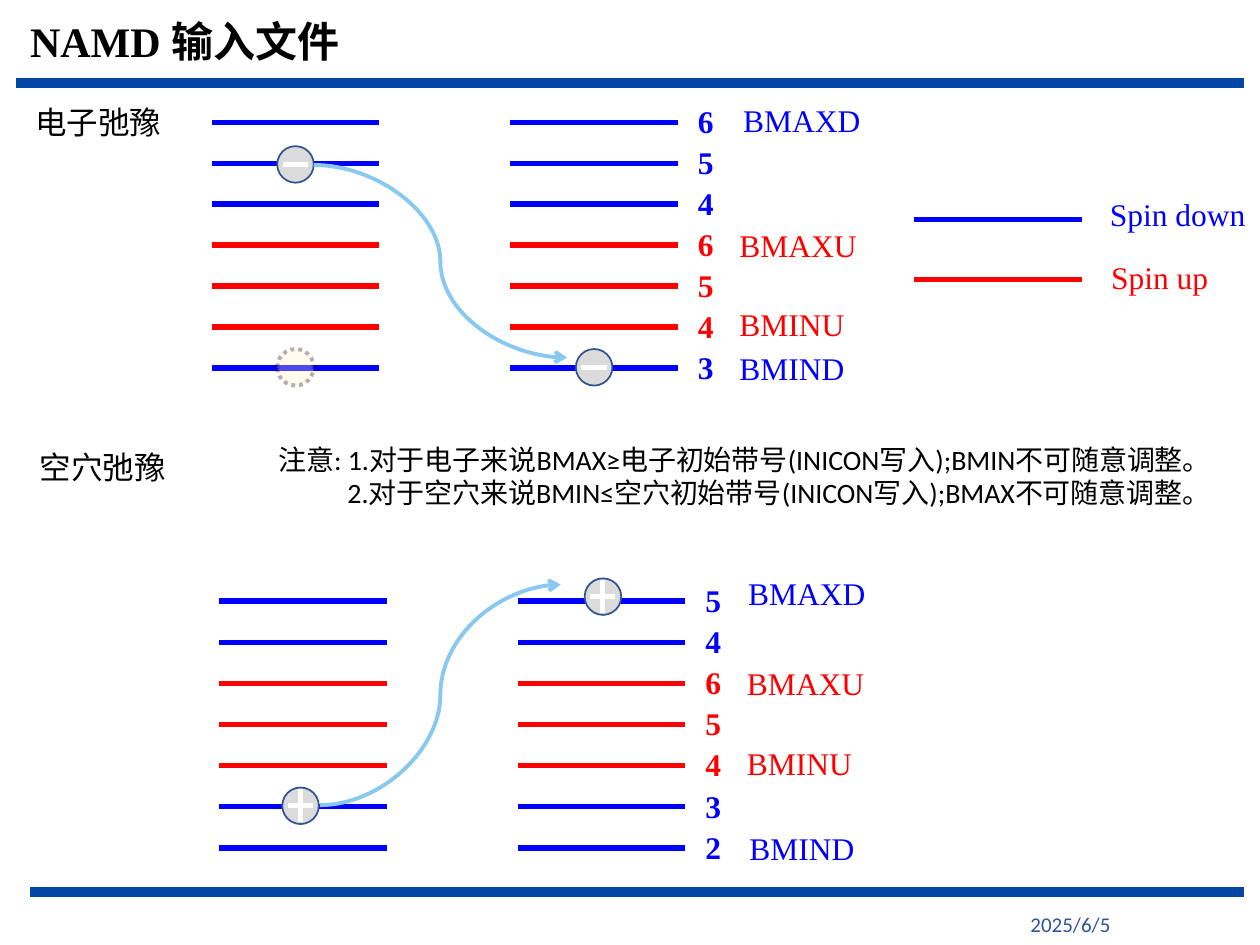
from dataclasses import dataclass

import pptx
import pptx.dml.color
import pptx.enum.dml
import pptx.enum.shapes
import pptx.enum.text
import pptx.oxml
import pptx.oxml.ns
import pptx.util
from pptx.util import Inches

ALIGN = pptx.enum.text.PP_ALIGN
ANCHOR = pptx.enum.text.MSO_ANCHOR
LINK = pptx.enum.shapes.MSO_CONNECTOR


@dataclass(frozen=True)
class Theme:
    down: str = "0000FF"
    up: str = "FF0000"
    ink: str = "000000"
    white: str = "FFFFFF"
    rule: str = "0546A5"
    date: str = "2F5597"
    carrier: str = "DBDBDB"
    carrier_edge: str = "325491"
    vacancy: str = "FFF2CC"
    hop: str = "89C9F0"
    serif: str = "Times New Roman"
    sans: str = "Calibri"
    title: float = 24
    body: float = 18
    note: float = 16
    small: float = 12


@dataclass(frozen=True)
class Level:
    number: str
    color: str
    label: str = ""
    shift: float = 0
    lift: float = 0.2


THEME = Theme()
LEVEL_WIDTH = 1.33
COLUMN_GAP = 2.37
CARRIER = 0.29

ELECTRON_LEVELS = [
    Level("6", THEME.down, "BMAXD", 0.03, 0.22),
    Level("5", THEME.down),
    Level("4", THEME.down),
    Level("6", THEME.up, "BMAXU"),
    Level("5", THEME.up),
    Level("4", THEME.up, "BMINU", 0, 0.22),
    Level("3", THEME.down, "BMIND"),
]
HOLE_LEVELS = [
    Level("5", THEME.down, "BMAXD", 0.01, 0.26),
    Level("4", THEME.down),
    Level("6", THEME.up, "BMAXU"),
    Level("5", THEME.up),
    Level("4", THEME.up, "BMINU", 0, 0.22),
    Level("3", THEME.down),
    Level("2", THEME.down, "BMIND", 0.02),
]


def rgb(color):
    return pptx.dml.color.RGBColor.from_string(color)


def add_text(page, box, text, size=THEME.body, color=THEME.ink, font=THEME.serif,
             bold=False, align=ALIGN.LEFT, anchor=ANCHOR.TOP, wrap=True, spacing=None):
    shape = page.shapes.add_textbox(*map(Inches, box))
    frame = shape.text_frame
    frame.word_wrap = wrap
    frame.vertical_anchor = anchor
    for index, line in enumerate(text.split("\n")):
        para = frame.paragraphs[0] if index == 0 else frame.add_paragraph()
        para.alignment = align
        para.line_spacing = spacing
        span = para.add_run()
        span.text = line
        span.font.size = pptx.util.Pt(size)
        span.font.name = font
        span.font.bold = bold
        span.font.color.rgb = rgb(color)
    return frame


def add_line(shapes, start, end, color, width=3, kind=LINK.STRAIGHT, arrow=False):
    line = shapes.add_connector(kind, *map(Inches, (*start, *end)))
    line.line.color.rgb = rgb(color)
    line.line.width = pptx.util.Pt(width)
    if arrow:
        pptx.oxml.ns.qn("a:tailEnd")
        head = pptx.oxml.parse_xml(f'<a:tailEnd {pptx.oxml.ns.nsdecls("a")} type="arrow"/>')
        line.line._get_or_add_ln().append(head)
    line._element.spPr.append(
        pptx.oxml.parse_xml(f'<a:effectLst {pptx.oxml.ns.nsdecls("a")}/>'))
    return line


def add_circle(shapes, left, top, fill, edge, width):
    circle = shapes.add_shape(pptx.enum.shapes.MSO_SHAPE.OVAL,
                              *map(Inches, (left, top, CARRIER, CARRIER)))
    circle.shadow.inherit = False
    circle.fill.solid()
    circle.fill.fore_color.rgb = rgb(fill)
    circle.line.color.rgb = rgb(edge)
    circle.line.width = pptx.util.Pt(width)
    return circle


def add_carrier(page, left, top, positive=False):
    """A round charge with a minus sign, or a plus sign when positive."""
    shapes = page.shapes.add_group_shape().shapes
    add_circle(shapes, left, top, THEME.carrier, THEME.carrier_edge, 1)
    x, y = left + CARRIER / 2, top + CARRIER / 2
    add_line(shapes, (x - 0.1, y), (x + 0.1, y), THEME.white)
    if positive:
        add_line(shapes, (x, y + 0.13), (x, y - 0.13), THEME.white)


def add_vacancy(page, left, top):
    circle = add_circle(page.shapes, left, top, THEME.vacancy, THEME.ink, 2.25)
    circle.line.dash_style = pptx.enum.dml.MSO_LINE.ROUND_DOT
    for color in circle._element.spPr.iter(pptx.oxml.ns.qn("a:srgbClr")):
        color.append(pptx.oxml.parse_xml(
            f'<a:alpha {pptx.oxml.ns.nsdecls("a")} val="30000"/>'))


def add_hop(page, start, end):
    add_line(page.shapes, start, end, THEME.hop, 2.25, LINK.CURVE, arrow=True)


def add_levels(page, left, top, height, levels):
    """Two columns of energy levels with band numbers and limits."""
    pitch = height / (len(levels) - 1)
    for row, level in enumerate(levels):
        y = top + row * pitch
        for x in (left, left + COLUMN_GAP):
            add_line(page.shapes, (x, y), (x + LEVEL_WIDTH, y), level.color)
        add_text(page, (left + 3.76, y - 0.21, 0.33, 0.4), level.number,
                 color=level.color, bold=True, wrap=False)
        if level.label:
            add_text(page, (left + 4.09 + level.shift, y - level.lift, 1.36, 0.4),
                     level.label, color=level.color)


def add_legend(page, left, top):
    entries = [("Spin down", THEME.down, 0.24), ("Spin up", THEME.up, 0.22)]
    for row, (name, color, lift) in enumerate(entries):
        y = top + row * 0.48
        add_line(page.shapes, (left, y), (left + 1.34, y), color)
        add_text(page, (left + 1.46 + row * 0.01, y - lift, 1.36, 0.4), name, color=color)


def add_frame(page):
    """Title, rules and date."""
    add_line(page.shapes, (0.13, 0.66), (9.87, 0.66), THEME.rule, 6)
    add_line(page.shapes, (9.87, 7.08), (0.24, 7.08), THEME.rule, 6)
    add_text(page, (0.14, 0.11, 8.62, 0.47), "NAMD 输入文件", size=THEME.title,
             bold=True, anchor=ANCHOR.MIDDLE, spacing=0.9)
    add_text(page, (8.08, 7.23, 1.21, 0.21), "2025/6/5", size=THEME.small,
             color=THEME.date, font=THEME.sans, anchor=ANCHOR.MIDDLE)


def add_electron_region(page, left, top):
    add_text(page, (0.14, top - 0.2, 1.28, 0.4), "电子弛豫", align=ALIGN.CENTER)
    add_levels(page, left, top, 1.95, ELECTRON_LEVELS)
    add_carrier(page, left + 0.52, top + 0.19)
    add_carrier(page, left + 2.89, top + 1.8)
    add_vacancy(page, left + 0.52, top + 1.8)
    add_hop(page, (left + 0.81, top + 0.34), (left + 2.82, top + 1.87))


def add_hole_region(page, left, top):
    add_text(page, (0.07, top - 1.26, 1.49, 0.4), "空穴弛豫", align=ALIGN.CENTER)
    add_levels(page, left, top, 1.96, HOLE_LEVELS)
    add_hop(page, (left + 0.8, top + 1.62), (left + 2.71, top - 0.13))
    add_carrier(page, left + 0.5, top + 1.48, positive=True)
    add_carrier(page, left + 2.9, top - 0.18, positive=True)


def add_note(page, box):
    frame = add_text(
        page, box,
        "注意: 1.对于电子来说BMAX≥电子初始带号(INICON写入);BMIN不可随意调整。\n"
        "2.对于空穴来说BMIN≤空穴初始带号(INICON写入);BMAX不可随意调整。",
        size=THEME.note, font=THEME.sans)
    frame.paragraphs[1]._p.get_or_add_pPr().set("indent", str(Inches(0.55)))


def main():
    deck = pptx.Presentation()
    deck.slide_width, deck.slide_height = Inches(10), Inches(7.5)
    page = deck.slides.add_slide(deck.slide_layouts[6])
    add_frame(page)
    add_electron_region(page, 1.68, 0.97)
    add_legend(page, 7.25, 1.74)
    add_hole_region(page, 1.74, 4.77)
    add_note(page, (2.11, 3.46, 7.63, 0.64))
    deck.save("out.pptx")


if __name__ == "__main__":
    main()
